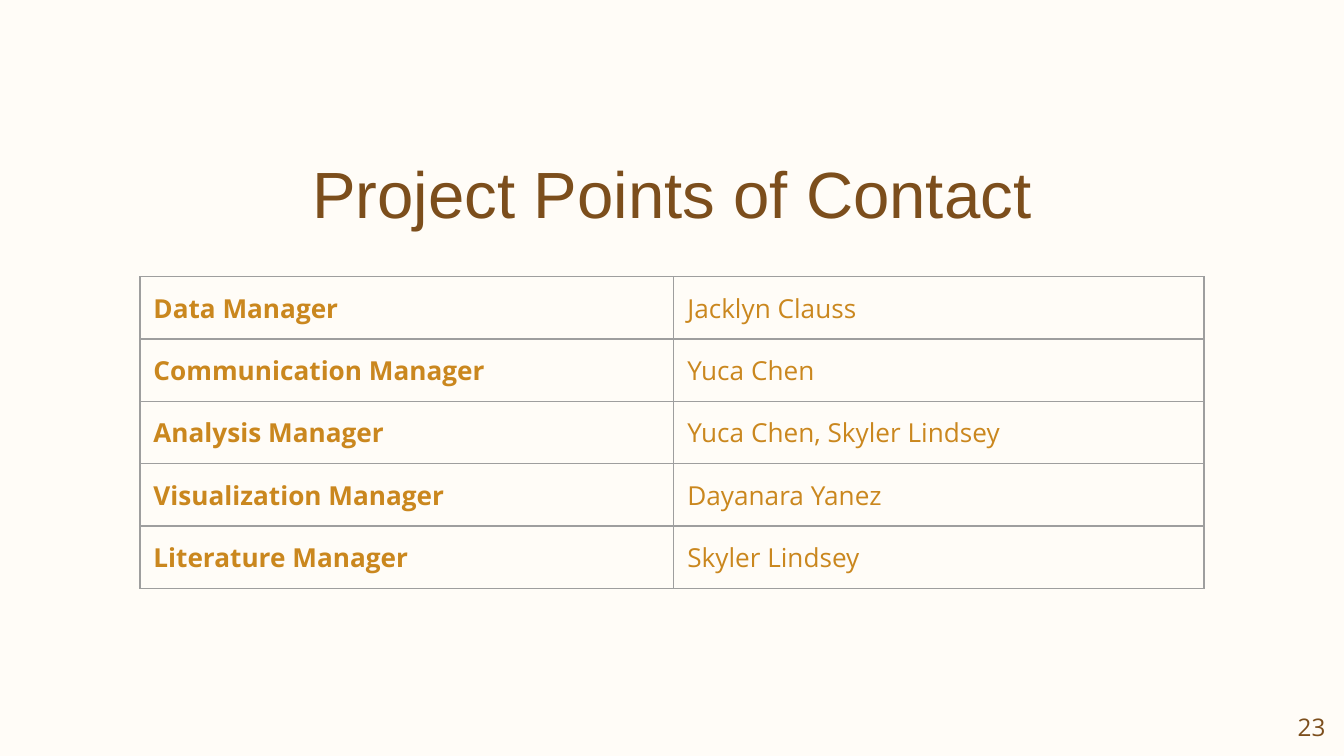
from dataclasses import dataclass

from lxml import etree
from pptx import Presentation
from pptx.dml.color import RGBColor
from pptx.enum import text
from pptx.oxml.ns import qn
from pptx.util import Pt


@dataclass(frozen=True)
class Theme:
    back: str = "FFFCF7"
    brown: str = "7C4E1C"
    gold: str = "CA871E"
    rule: str = "9E9E9E"
    head: str = "Arial"
    body: str = "Open Sans"
    title: float = 35
    cell: float = 14
    page: float = 13
    line: float = 0.75
    inset: float = 7.2


class Deck:
    """Holds the theme and the current slide."""

    def __init__(self, theme, wide, high):
        self.theme = theme
        self.file = Presentation()
        self.file.slide_width, self.file.slide_height = Pt(wide), Pt(high)
        self.slide = self.file.slides.add_slide(self.file.slide_layouts[6])
        fill = self.slide.background.fill
        fill.solid()
        fill.fore_color.rgb = RGBColor.from_string(theme.back)

    def run(self, para, words, font, size, color, bold=False):
        run = para.add_run()
        run.text = words
        run.font.name, run.font.size, run.font.bold = font, Pt(size), bold
        run.font.color.rgb = RGBColor.from_string(color)

    def pad(self, item):
        item.margin_left = item.margin_right = Pt(self.theme.inset)
        item.margin_top = item.margin_bottom = Pt(self.theme.inset)

    def label(self, words, box, font, size, align, anchor, top=None):
        frame = self.slide.shapes.add_textbox(*map(Pt, box)).text_frame
        frame.word_wrap = True
        frame.vertical_anchor = anchor
        self.pad(frame)
        if top is not None:
            frame.margin_top = Pt(top)
        para = frame.paragraphs[0]
        para.alignment = align
        self.run(para, words, font, size, self.theme.brown)

    def edge(self, cell):
        """Draw a thin rule on all four sides of a cell."""
        props = cell._tc.get_or_add_tcPr()
        for spot, side in enumerate(("a:lnL", "a:lnR", "a:lnT", "a:lnB")):
            line = etree.Element(qn(side), w=str(Pt(self.theme.line)))
            fill = etree.SubElement(line, qn("a:solidFill"))
            etree.SubElement(fill, qn("a:srgbClr"), val=self.theme.rule)
            props.insert(spot, line)

    def table(self, rows, left, top, cols, high):
        grid = self.slide.shapes.add_table(
            len(rows), len(cols), Pt(left), Pt(top),
            Pt(sum(cols)), Pt(high * len(rows))).table
        grid.first_row = grid.horz_banding = False
        for col, wide in zip(grid.columns, cols):
            col.width = Pt(wide)
        for row, items in zip(grid.rows, rows):
            row.height = Pt(high)
            for spot, (cell, words) in enumerate(zip(row.cells, items)):
                cell.fill.background()
                self.pad(cell)
                self.edge(cell)
                self.run(cell.text_frame.paragraphs[0], words, self.theme.body,
                         self.theme.cell, self.theme.gold, bold=spot == 0)


def main():
    look = Theme()
    deck = Deck(look, 720, 405)
    deck.label("Project Points of Contact", (56.7, 71.3, 606.9, 45.4),
               look.head, look.title, text.PP_ALIGN.CENTER,
               text.MSO_ANCHOR.TOP, top=10.6)
    roles = [
        ("Data Manager", "Jacklyn Clauss"),
        ("Communication Manager", "Yuca Chen"),
        ("Analysis Manager", "Yuca Chen, Skyler Lindsey"),
        ("Visualization Manager", "Dayanara Yanez"),
        ("Literature Manager", "Skyler Lindsey"),
    ]
    deck.table(roles, 75, 148.2, (286, 284), 33.4)
    deck.label("23", (673.9, 373.7, 43.2, 31), look.body, look.page,
               text.PP_ALIGN.RIGHT, text.MSO_ANCHOR.MIDDLE)
    deck.file.save("out.pptx")


if __name__ == "__main__":
    main()
